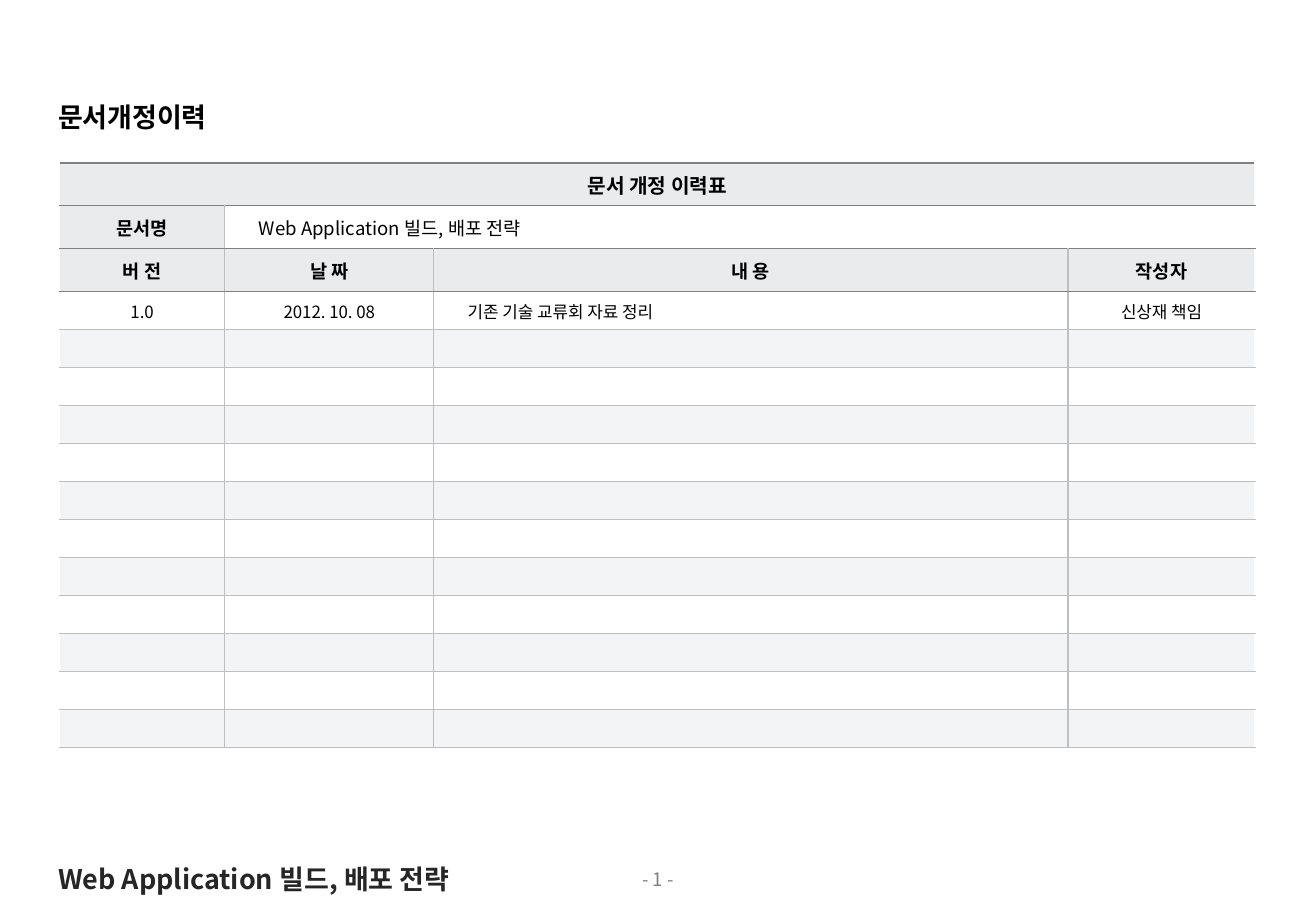
from lxml import etree
from pptx import Presentation, util as u
from pptx.dml.color import RGBColor
from pptx.enum import text
from pptx.oxml.ns import qn

CENTER, LEFT = text.PP_ALIGN.CENTER, text.PP_ALIGN.LEFT
BLACK, WHITE, RULE, HEAVY_RULE = "000000", "FFFFFF", "BFBFBF", "808080"
HEADER, BAND = "E9EBED", "F3F4F5"


def color(code):
    return RGBColor.from_string(code)


class Page:
    """Draws styled elements on one slide, placed in percent of its size."""

    face = "Noto Sans CJK KR"

    def __init__(self, deck):
        self.deck = deck
        self.slide = deck.slides.add_slide(deck.slide_layouts[6])

    def x(self, share):
        return round(self.deck.slide_width * share / 100)

    def y(self, share):
        return round(self.deck.slide_height * share / 100)

    def fill_text(self, frame, words, size, code=BLACK, bold=False, align=LEFT):
        line = frame.paragraphs[0]
        line.text, line.alignment = words, align
        font = line.font
        font.name, font.size, font.bold = self.face, u.Pt(size), bold
        font.color.rgb = color(code)
        props = line._p.pPr.find(qn("a:defRPr"))
        etree.SubElement(props, qn("a:ea"), typeface=self.face)
        if not words:
            etree.SubElement(line._p, qn("a:endParaRPr"), sz=str(size * 100))

    def label(self, words, left, top, width, height, size, wrap=False, **style):
        frame = self.slide.shapes.add_textbox(
            self.x(left), self.y(top), self.x(width), self.y(height)).text_frame
        frame.word_wrap = wrap
        self.fill_text(frame, words, size, **style)

    def table(self, left, top, widths, heights):
        grid = self.slide.shapes.add_table(
            len(heights), len(widths), self.x(left), self.y(top),
            self.x(sum(widths)), self.y(sum(heights))).table
        grid.first_row = grid.horz_banding = False
        for column, width in zip(grid.columns, widths):
            column.width = self.x(width)
        for row, height in zip(grid.rows, heights):
            row.height = self.y(height)
        return grid

    def cell(self, cell, words, size, fill=None, indent=0.06, **style):
        cell.vertical_anchor = text.MSO_ANCHOR.MIDDLE
        cell.margin_left, cell.margin_right = u.Inches(indent), u.Inches(0.06)
        cell.margin_top = cell.margin_bottom = u.Inches(0.03)
        if fill:
            cell.fill.solid()
            cell.fill.fore_color.rgb = color(fill)
        else:
            cell.fill.background()
        self.fill_text(cell.text_frame, words, size, **style)

    def borders(self, cell, sides):
        props = cell._tc.get_or_add_tcPr()
        for place, (side, code) in enumerate(sides.items()):
            edge = etree.Element(qn(f"a:ln{side}"), w=str(u.Pt(1)))
            paint = etree.SubElement(edge, qn("a:solidFill"))
            etree.SubElement(paint, qn("a:srgbClr"), val=code)
            props.insert(place, edge)


def revision_table(page, document):
    entries = [
        ["문서 개정 이력표"],
        ["문서명", document],
        ["버 전", "날 짜", "내 용", "작성자"],
        ["1.0", "2012. 10. 08", "기존 기술 교류회 자료 정리", "신상재 책임"],
    ]
    headings, blanks = 3, 11
    entries += [[""] * 4] * blanks
    heights = [4.72] * headings + [4.17] * (1 + blanks)
    grid = page.table(4.52, 17.87, [12.56, 15.88, 48.2, 14.22], heights)
    last = len(grid.columns) - 1

    for r, entry in enumerate(entries):
        end = len(entry) - 1
        if end < last:
            grid.cell(r, end).merge(grid.cell(r, last))
        for c in range(last + 1):
            cell = grid.cell(r, c)
            words = entry[c] if c <= end else ""
            indented = words == document or (r == headings and c == 2)
            heading = r < headings and words != document
            if r < headings:
                fill = HEADER if heading else None
            else:
                fill = BAND if r % 2 == 0 else None
            size = 12 if r == 0 else 11 if r < headings else 10
            page.cell(cell, words, size, fill, indent=0.28 if indented else 0.06,
                      bold=heading, align=LEFT if indented else CENTER)
            sides = {}
            if c <= end:
                sides = {"L": RULE if c else WHITE, "R": RULE if c < end else WHITE}
            sides["T"] = HEAVY_RULE if r <= headings else RULE
            sides["B"] = HEAVY_RULE if r < headings else RULE
            page.borders(cell, sides)


def main():
    deck = Presentation()
    deck.slide_width, deck.slide_height = u.Inches(10.83), u.Inches(7.5)
    page = Page(deck)
    document = "Web Application 빌드, 배포 전략"
    page.label("- 1 -", 0, 94.67, 100, 3.87, 11, wrap=True, code="808080", align=CENTER)
    page.label(document, 3.51, 94, 33.43, 4.93, 16, code="262626", bold=True)
    revision_table(page, document)
    page.label("문서개정이력", 3.51, 10.4, 14.31, 4.93, 16, bold=True)
    deck.save("out.pptx")


if __name__ == "__main__":
    main()
